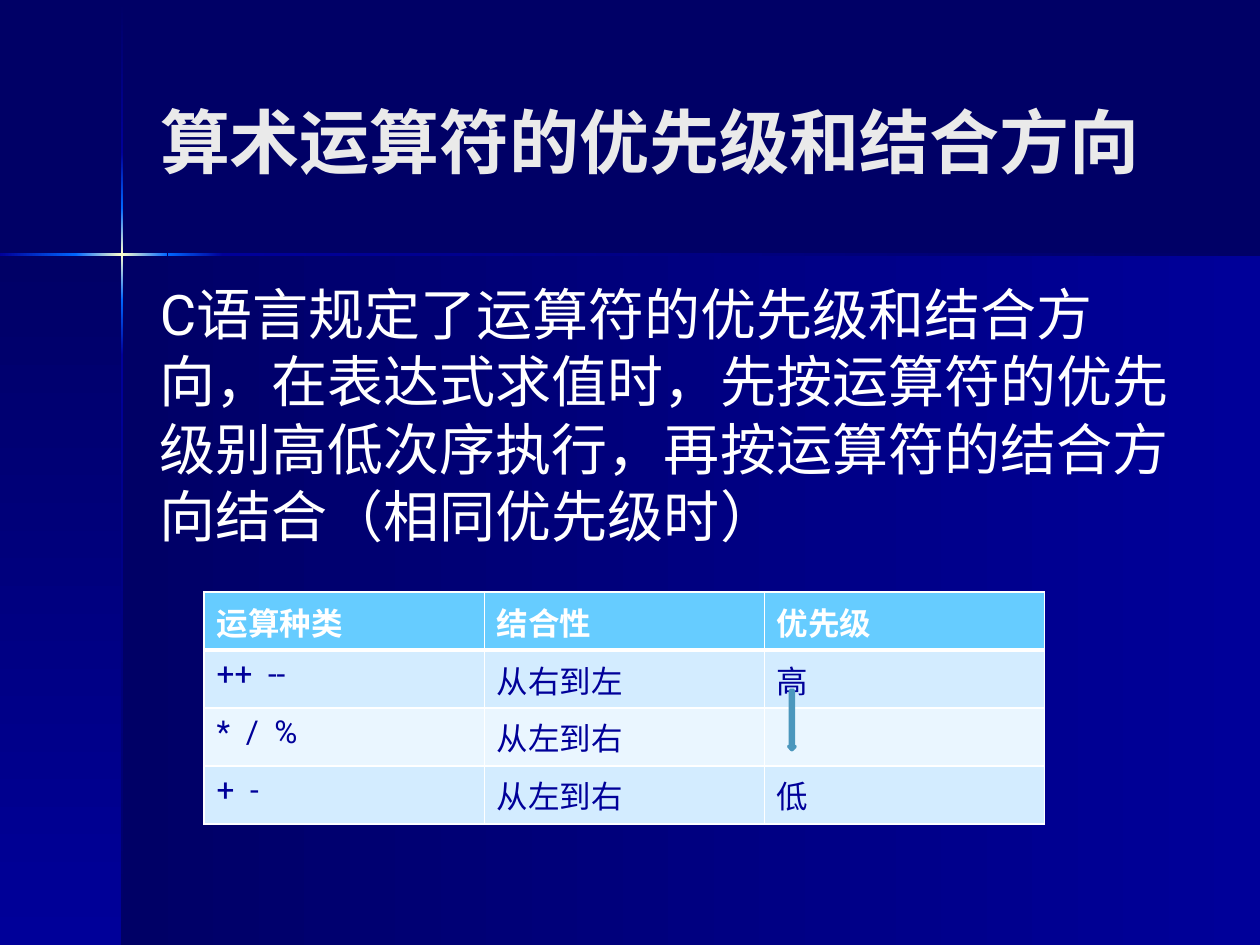
import lxml.etree
import pptx
import pptx.dml.color
import pptx.enum.shapes
import pptx.enum.text
import pptx.oxml.ns
import pptx.util

RGBColor = pptx.dml.color.RGBColor
NAVY = RGBColor(0x00, 0x00, 0x66)
BLUE = RGBColor(0x00, 0x00, 0x99)
BRIGHT = RGBColor(0x00, 0x66, 0xFF)
GLOW = RGBColor(0xFF, 0xFF, 0xCC)
WHITE = RGBColor(0xFF, 0xFF, 0xFF)
TITLE_GRAY = RGBColor(0xEA, 0xEA, 0xEA)
SKY = RGBColor(0x66, 0xCC, 0xFF)
ARROW_EDGE = RGBColor(0x4B, 0x97, 0xBD)
BANDS = (RGBColor(0xD3, 0xEC, 0xFF), RGBColor(0xEA, 0xF6, 0xFF))

FONT = "Roboto"
WIDTH, HEIGHT = 10, 7.5
CROSS_X, CROSS_Y = 0.97, 2.02
BEAM = 0.02
TEXT_LEFT, TEXT_WIDTH = 1.17, 8.25
TABLE_LEFT, TABLE_TOP, TABLE_WIDTH, ROW_HEIGHT = 1.615, 4.695, 6.67, 0.463
TABLE_LEFT, TABLE_TOP, ROW_HEIGHT = 1.62, 4.7, 0.46

VERTICAL_BEAMS = (
    (0.01, 1.21, (NAVY, BLUE)),
    (2.82, HEIGHT, (BLUE, NAVY)),
    (2.38, 2.82, (BRIGHT, BLUE)),
    (1.21, 1.65, (BLUE, BRIGHT)),
    (1.65, 2.38, (BRIGHT, GLOW, BRIGHT)),
)
HORIZONTAL_BEAMS = (
    (1.77, WIDTH, (BLUE, NAVY)),
    (0, 0.61, (BLUE, BRIGHT)),
    (1.33, 1.77, (BRIGHT, BLUE)),
    (0.6, 1.33, (BRIGHT, GLOW, BRIGHT)),
)

TITLE = "算术运算符的优先级和结合方向"
BODY = "C语言规定了运算符的优先级和结合方向，在表达式求值时，先按运算符的优先级别高低次序执行，再按运算符的结合方向结合（相同优先级时）"
ROWS = (
    ("运算种类", "结合性", "优先级"),
    ("++  --", "从右到左", "高"),
    ("*  /  %", "从左到右", ""),
    ("+  -", "从左到右", "低"),
)


def inches(*lengths):
    return [pptx.util.Inches(length) for length in lengths]


def add_child(parent, tag, **attributes):
    return lxml.etree.SubElement(parent, pptx.oxml.ns.qn(tag), **attributes)


def add_shape(slide, kind, *box):
    shape = slide.shapes.add_shape(kind, *inches(*box))
    shape.shadow.inherit = False
    return shape


def add_gradient(slide, box, colors, angle):
    shape = add_shape(slide, pptx.enum.shapes.MSO_SHAPE.RECTANGLE, *box)
    shape.line.fill.background()
    shape.fill.gradient()
    shape.fill.gradient_angle = -angle % 360
    stops = shape._element.spPr.find(".//" + pptx.oxml.ns.qn("a:gsLst"))
    for stop in list(stops):
        stops.remove(stop)
    for index, color in enumerate(colors):
        position = str(100000 * index // (len(colors) - 1))
        add_child(add_child(stops, "a:gs", pos=position), "a:srgbClr", val=str(color))


def add_backdrop(slide):
    below = HEIGHT - CROSS_Y
    add_gradient(slide, (CROSS_X, CROSS_Y, WIDTH - CROSS_X, below), (NAVY, BLUE), 0)
    add_gradient(slide, (0, CROSS_Y, CROSS_X, below), (NAVY, BLUE), 90)
    for start, end, colors in VERTICAL_BEAMS:
        add_gradient(slide, (CROSS_X - BEAM / 2, start, BEAM, end - start), colors, 90)
    for start, end, colors in HORIZONTAL_BEAMS:
        add_gradient(slide, (start, CROSS_Y - BEAM / 2, end - start, BEAM), colors, 0)


def write(text_frame, text, size, color, bold=False):
    paragraph = text_frame.paragraphs[0]
    paragraph.alignment = pptx.enum.text.PP_ALIGN.LEFT
    paragraph.font.size = pptx.util.Pt(size)
    paragraph._p.get_or_add_pPr().set("hangingPunct", "0")
    if text:
        run = paragraph.add_run()
        run.text = text
        run.font.name = FONT
        run.font.size = pptx.util.Pt(size)
        run.font.bold = bold
        run.font.color.rgb = color


def set_title(slide):
    title = slide.shapes.title
    title.left, title.top, title.width, title.height = inches(TEXT_LEFT, 0.33, TEXT_WIDTH, 1.57)
    title.text_frame.vertical_anchor = pptx.enum.text.MSO_ANCHOR.MIDDLE
    write(title.text_frame, TITLE, 40, TITLE_GRAY, bold=True)


def add_body(slide):
    body = slide.shapes.add_textbox(*inches(TEXT_LEFT, 2.17, TEXT_WIDTH, 4.5))
    body.text_frame.word_wrap = True
    write(body.text_frame, BODY, 32, WHITE)


def set_borders(cell, top, bottom):
    properties = cell._tc.get_or_add_tcPr()
    for side, points in (("L", 1), ("R", 1), ("T", top), ("B", bottom)):
        line = add_child(properties, "a:ln" + side, w=str(pptx.util.Pt(points)))
        add_child(add_child(line, "a:solidFill"), "a:srgbClr", val=str(WHITE))


def add_operator_table(slide):
    box = inches(TABLE_LEFT, TABLE_TOP, TABLE_WIDTH, ROW_HEIGHT * len(ROWS))
    table = slide.shapes.add_table(len(ROWS), len(ROWS[0]), *box).table
    for row, texts in enumerate(ROWS):
        header = row == 0
        for column, text in enumerate(texts):
            cell = table.cell(row, column)
            set_borders(cell, 3 if row == 1 else 1, 3 if header else 1)
            cell.fill.solid()
            cell.fill.fore_color.rgb = SKY if header else BANDS[(row - 1) % 2]
            write(cell.text_frame, text, 18, WHITE if header else BLUE, bold=header)


def add_priority_arrow(slide):
    arrow = add_shape(slide, pptx.enum.shapes.MSO_SHAPE.DOWN_ARROW, 6.26, 5.48, 0.05, 0.47)
    arrow.fill.solid()
    arrow.fill.fore_color.rgb = SKY
    arrow.line.color.rgb = ARROW_EDGE
    arrow.line.width = pptx.util.Pt(2)


def main():
    presentation = pptx.Presentation()
    presentation.slide_width, presentation.slide_height = inches(WIDTH, HEIGHT)
    slide = presentation.slides.add_slide(presentation.slide_layouts[5])
    slide.background.fill.solid()
    slide.background.fill.fore_color.rgb = NAVY
    add_backdrop(slide)
    set_title(slide)
    add_body(slide)
    add_operator_table(slide)
    add_priority_arrow(slide)
    presentation.save("out.pptx")


if __name__ == "__main__":
    main()
